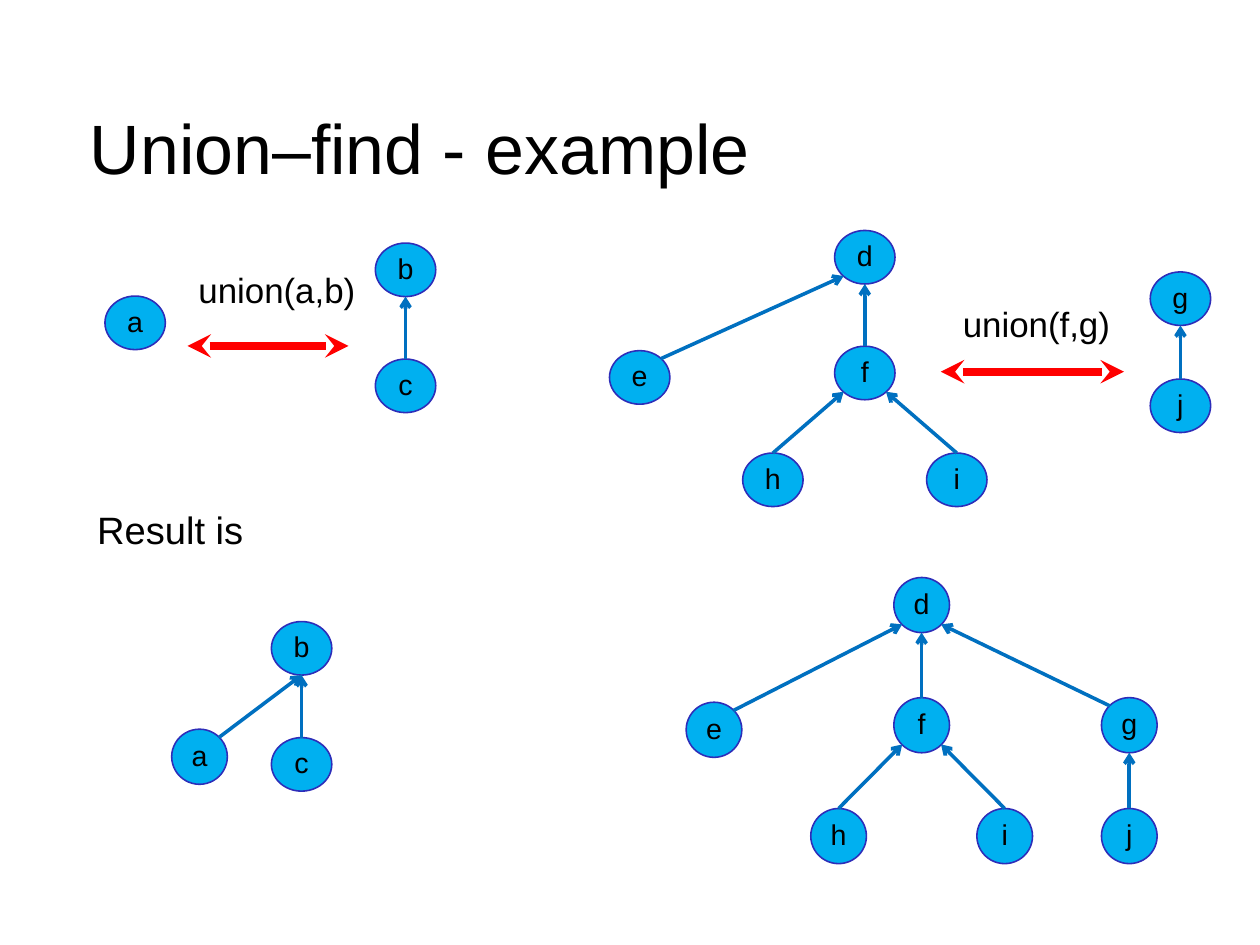
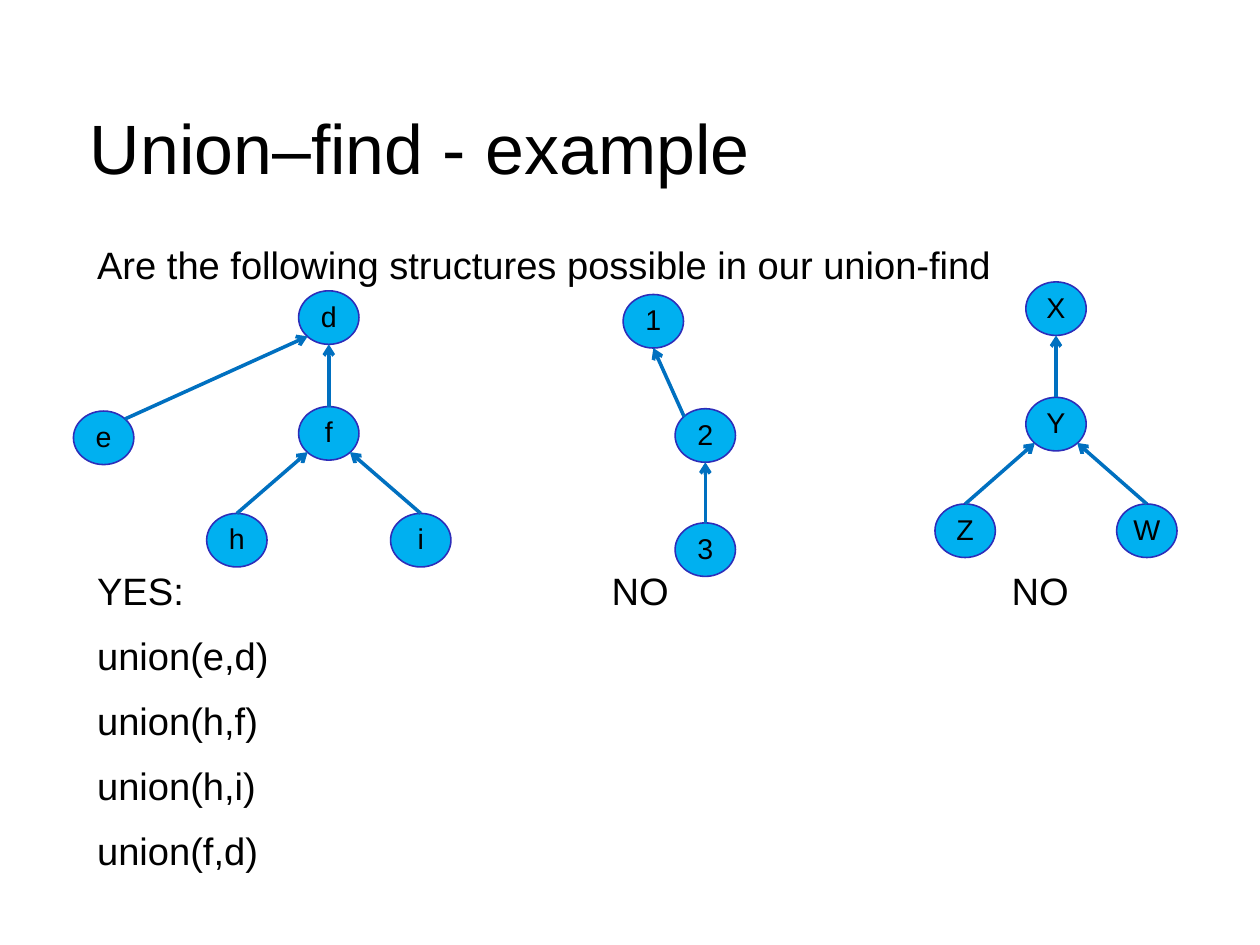
from dataclasses import dataclass

from lxml import etree
from pptx import Presentation
from pptx.dml.color import RGBColor
from pptx.enum.shapes import MSO_CONNECTOR, MSO_SHAPE
from pptx.enum.text import MSO_ANCHOR, PP_ALIGN
from pptx.oxml.ns import qn
from pptx.util import Cm, Pt

ELLIPSE, STRAIGHT_LINE = MSO_SHAPE.OVAL, MSO_CONNECTOR.STRAIGHT
TOP, MIDDLE = MSO_ANCHOR.TOP, MSO_ANCHOR.MIDDLE
LEFT, CENTER = PP_ALIGN.LEFT, PP_ALIGN.CENTER


@dataclass(frozen=True)
class Theme:
    font: str = "Arial"
    ink: str = "000000"
    node_fill: str = "00B0F0"
    node_line: str = "2D2DB9"
    pointer: str = "0070C0"
    union: str = "FF0000"
    title_size: float = 44
    body_size: float = 24
    label_size: float = 22
    node_size: float = 18
    line_spacing: float = 0.93
    space_after: float = 14.2
    node_width: float = 1
    pointer_width: float = 2.25
    union_width: float = 5


THEME = Theme()
COLUMNS, ROWS = 24, 18
NODE, SMALL_NODE = (1.15, 1.02), (1.06, 1.05)
BODY_LEFT, BODY_TOP, BODY_PITCH = 1.85, 4.68, 1.24

SITES = {
    "top": (0.5, 0), "top_left": (0.15, 0.15), "top_right": (0.85, 0.15),
    "bottom": (0.5, 1), "bottom_left": (0.15, 0.85), "bottom_right": (0.85, 0.85),
}
ABOVE = ("bottom", "top")
UP_RIGHT = ("bottom_left", "top")
UP_LEFT = ("bottom_right", "top")
FAR_RIGHT = ("bottom_left", "top_right")
FAR_LEFT = ("bottom_right", "top_left")

FIVE_NODES = {"d": (0.71, 0), "e": (0, 0.54), "f": (0.71, 0.52), "h": (0.42, 1), "i": (1, 1)}
FIVE_EDGES = {"de": FAR_RIGHT, "df": ABOVE, "fh": UP_RIGHT, "fi": UP_LEFT}
MERGED_NODES = {
    "d": (0.5, 0), "e": (0, 0.54), "f": (0.5, 0.52), "g": (1, 0.52),
    "h": (0.3, 1), "i": (0.7, 1), "j": (1, 1),
}
MERGED_EDGES = FIVE_EDGES | {"dg": FAR_LEFT, "gj": ABOVE}

presentation = Presentation()
presentation.slide_width = Cm(28)
presentation.slide_height = Cm(21)


def across(columns):
    return round(columns * presentation.slide_width / COLUMNS)


def down(rows):
    return round(rows * presentation.slide_height / ROWS)


def place(box):
    left, top, width, height = box
    return across(left), down(top), across(width), down(height)


def apply(target, formats):
    for attribute, value in formats.items():
        setattr(target, attribute, value)


def write(frame, lines, size, anchor=TOP, align=LEFT, wrap=True, gap=0):
    apply(frame, {
        "word_wrap": wrap, "vertical_anchor": anchor,
        "margin_left": 0, "margin_right": 0, "margin_top": 0, "margin_bottom": 0,
    })
    for index, line in enumerate(lines):
        paragraph = frame.paragraphs[0] if index == 0 else frame.add_paragraph()
        apply(paragraph, {
            "text": line, "alignment": align,
            "line_spacing": THEME.line_spacing, "space_after": Pt(gap),
        })
        apply(paragraph.font, {"name": THEME.font, "size": Pt(size)})
        paragraph.font.color.rgb = RGBColor.from_string(THEME.ink)


def add_text(slide, box, lines, size, **layout):
    write(slide.shapes.add_textbox(*place(box)).text_frame, lines, size, **layout)


def add_arrow(slide, start, end, color, width, heads):
    arrow = slide.shapes.add_connector(
        STRAIGHT_LINE, across(start[0]), down(start[1]), across(end[0]), down(end[1]))
    arrow.line.color.rgb = RGBColor.from_string(color)
    arrow.line.width = Pt(width)
    properties = arrow._element.spPr
    for tag, kind in heads.items():
        etree.SubElement(properties.find(qn("a:ln")), qn(tag)).set("type", kind)
    etree.SubElement(properties, qn("a:effectLst"))


def add_node(slide, box, label):
    node = slide.shapes.add_shape(ELLIPSE, *place(box))
    node.shadow.inherit = False
    node.fill.solid()
    node.fill.fore_color.rgb = RGBColor.from_string(THEME.node_fill)
    node.line.color.rgb = RGBColor.from_string(THEME.node_line)
    node.line.width = Pt(THEME.node_width)
    write(node.text_frame, [label], THEME.node_size, MIDDLE, CENTER, wrap=False)


def site_point(box, site):
    left, top, width, height = box
    share_x, share_y = SITES[site]
    return left + share_x * width, top + share_y * height


def add_tree(slide, box, nodes, edges, small=""):
    left, top, width, height = box
    node_boxes = {}
    for label, (share_x, share_y) in nodes.items():
        node_width, node_height = SMALL_NODE if label in small else NODE
        node_boxes[label] = (
            left + share_x * (width - node_width),
            top + share_y * (height - node_height), node_width, node_height)
        add_node(slide, node_boxes[label], label)
    for (parent, child), (parent_site, child_site) in edges.items():
        add_arrow(slide, site_point(node_boxes[parent], parent_site),
                  site_point(node_boxes[child], child_site),
                  THEME.pointer, THEME.pointer_width, {"a:headEnd": "arrow"})


def add_chain(slide, box, labels):
    parent, child = labels
    add_tree(slide, box, {parent: (0, 0), child: (0, 1)}, {labels: ABOVE})


def add_union(slide, box, call, label_shift):
    left, top, width, height = box
    add_text(slide, (left + label_shift, top, width, height / 2), [call], THEME.label_size)
    add_arrow(slide, (left, top + height), (left + width, top + height),
              THEME.union, THEME.union_width, {"a:headEnd": "stealth", "a:tailEnd": "stealth"})


def add_body(slide, row, lines, left=BODY_LEFT, width=20.9):
    box = (left, BODY_TOP + row * BODY_PITCH, width, len(lines) * BODY_PITCH)
    add_text(slide, box, lines, THEME.body_size, gap=THEME.space_after)


def add_titled_slide():
    slide = presentation.slides.add_slide(presentation.slide_layouts[6])
    add_text(slide, (1.71, 1.44, 20.14, 2.89), ["Union–find - example"],
             THEME.title_size, anchor=MIDDLE)
    return slide


def build_union_slide():
    slide = add_titled_slide()
    add_body(slide, 4.06, ["Result is"])
    add_tree(slide, (2, 5.64, *NODE), {"a": (0, 0)}, {})
    add_chain(slide, (7.15, 4.63, 1.15, 3.23), "bc")
    add_union(slide, (3.57, 5.19, 3.07, 1.4), "union(a,b)", 0.21)
    add_tree(slide, (11.61, 4.39, 7.19, 5.26), FIVE_NODES, FIVE_EDGES)
    add_chain(slide, (21.91, 5.18, 1.15, 3.06), "gj")
    add_union(slide, (17.92, 5.84, 3.49, 1.24), "union(f,g)", 0.42)
    add_tree(slide, (3.27, 11.84, 3.05, 3.23),
             {"a": (0, 0.94), "b": (1, 0), "c": (1, 1)},
             {"bc": ABOVE, "ba": ("bottom", "top_right")}, small="a")
    add_tree(slide, (13.07, 11, 8.97, 5.45), MERGED_NODES, MERGED_EDGES, small="defghij")


def build_question_slide():
    slide = add_titled_slide()
    add_body(slide, 0, ["Are the following structures possible in our union-find"])
    add_body(slide, 5, ["YES:", "union(e,d)", "union(h,f)", "union(h,i)", "union(f,d)"], width=7)
    for verdict_left in (11.65, 19.27):
        add_body(slide, 5, ["NO"], left=verdict_left, width=3)
    add_tree(slide, (1.4, 5.54, 7.19, 5.26), FIVE_NODES, FIVE_EDGES)
    add_tree(slide, (11.87, 5.61, 2.14, 5.37),
             {"1": (0, 0), "2": (1, 0.5), "3": (1, 1)},
             {"23": ABOVE, "12": ("bottom", "top_left")})
    add_tree(slide, (17.81, 5.37, 4.61, 5.25),
             {"X": (0.5, 0), "Y": (0.5, 0.52), "Z": (0, 1), "W": (1, 1)},
             {"XY": ABOVE, "YZ": UP_RIGHT, "YW": UP_LEFT})


build_union_slide()
build_question_slide()
presentation.save("out.pptx")
